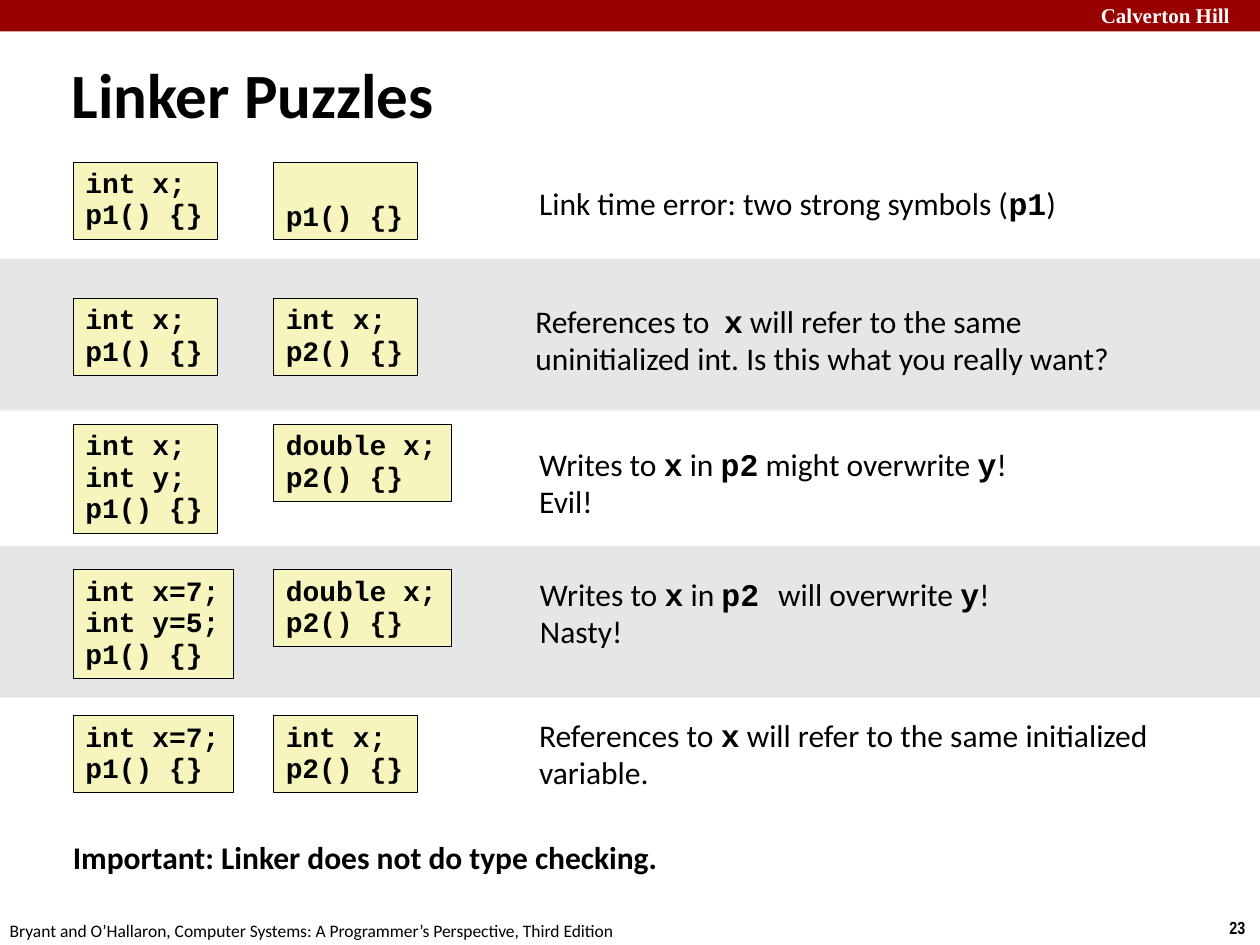
from dataclasses import dataclass

from pptx import Presentation, util as u
from pptx.dml import color
from pptx.enum import shapes, text


@dataclass(frozen=True)
class Theme:
    ink: str = "000000"
    paper: str = "FFFFFF"
    red: str = "990000"
    band: str = "E6E6E6"
    cream: str = "F6F5BD"
    body: str = "Calibri"
    mono: str = "Courier New"
    serif: str = "Times New Roman"
    narrow: str = "Arial Narrow"
    title: int = 36
    note: int = 18
    code: int = 16
    brand: int = 12
    foot: int = 10


class Deck:
    def __init__(self, theme):
        self.theme = theme
        self.prs = Presentation()
        self.prs.slide_width, self.prs.slide_height = u.Pt(720), u.Pt(540)
        self.slide = self.prs.slides.add_slide(self.prs.slide_layouts[6])

    def font(self, run, face, size, bold=False, ink=None):
        run.font.name, run.font.size, run.font.bold = face, u.Pt(size), bold
        run.font.color.rgb = color.RGBColor.from_string(ink or self.theme.ink)

    def rect(self, x, y, w, h, fill):
        box = self.slide.shapes.add_shape(
            shapes.MSO_SHAPE.RECTANGLE, u.Pt(x), u.Pt(y), u.Pt(w), u.Pt(h))
        box.shadow.inherit = False
        box.fill.solid()
        box.fill.fore_color.rgb = color.RGBColor.from_string(fill)
        box.line.fill.background()
        return box

    def label(self, x, y, w, h, words, size, face=None, bold=False, ink=None,
              space=None, wrap=False):
        frame = self.slide.shapes.add_textbox(
            u.Pt(x), u.Pt(y), u.Pt(w), u.Pt(h)).text_frame
        frame.word_wrap = wrap
        frame.vertical_anchor = text.MSO_ANCHOR.MIDDLE
        for i, line in enumerate(words.split("\n")):
            para = frame.add_paragraph() if i else frame.paragraphs[0]
            para.line_spacing = space
            for j, part in enumerate(line.split("`")):
                if part:
                    run = para.add_run()
                    run.text = part
                    code = j % 2 == 1
                    self.font(run, self.theme.mono if code else face or self.theme.body,
                              size, bold or code, ink)

    def code(self, x, y, words, rows=None):
        t = self.theme
        lines = words.split("\n")
        wide = max(map(len, lines)) * 0.6 * t.code + 15
        box = self.rect(x, y, wide, 8 + 18 * (rows or len(lines)), t.cream)
        box.line.color.rgb = color.RGBColor.from_string(t.ink)
        box.line.width = u.Pt(0.25)
        frame = box.text_frame
        frame.word_wrap = False
        frame.vertical_anchor = text.MSO_ANCHOR.BOTTOM if rows else text.MSO_ANCHOR.TOP
        frame.text = words
        for para in frame.paragraphs:
            para.alignment = text.PP_ALIGN.LEFT
            para.line_spacing = 0.94
            self.font(para.runs[0], t.mono, t.code, True)

    def note(self, x, y, w, words, bold=False):
        tall = 29 if "\n" not in words else 50.4
        self.label(x, y, w, tall, words, self.theme.note, bold=bold, space=0.98)


def main():
    t = Theme()
    deck = Deck(t)
    deck.rect(0, 0, 720, 18, t.red)
    deck.label(622, -2, 103, 21.6, "Calverton Hill", t.brand, t.serif, True, t.paper)
    deck.label(695.5, 520.5, 24.5, 19.4, "23", t.foot, t.narrow, True)
    deck.label(-1.5, 522, 366, 19.4,
               "Bryant and O’Hallaron, Computer Systems: "
               "A Programmer’s Perspective, Third Edition", t.foot)
    for top in (148, 312):
        deck.rect(0, top, 720, 86.6, t.band)
    deck.label(33.8, 22.3, 686, 62, "Linker Puzzles", t.title, bold=True, wrap=True)

    puzzles = [
        (92.5, "int x;\np1() {}", "p1() {}", 301, 102.5, 319,
         "Link time error: two strong symbols (`p1`)"),
        (170.5, "int x;\np1() {}", "int x;\np2() {}", 298.8, 169.5, 346,
         "References to  `x` will refer to the same\n"
         "uninitialized int. Is this what you really want?"),
        (242.5, "int x;\nint y;\np1() {}", "double x;\np2() {}", 301, 251.5, 284,
         "Writes to `x` in `p2` might overwrite `y`!\nEvil!"),
        (325.5, "int x=7;\nint y=5;\np1() {}", "double x;\np2() {}", 301.5, 325.5, 274,
         "Writes to `x` in `p2 `will overwrite `y`!\nNasty!"),
        (409, "int x=7;\np1() {}", "int x;\np2() {}", 301, 406, 366,
         "References to `x` will refer to the same initialized\nvariable."),
    ]
    for top, left, right, x, y, wide, words in puzzles:
        deck.code(41.75, top, left)
        deck.code(156.25, top, right, None if "\n" in right else 2)
        deck.note(x, y, wide, words)
    deck.note(34.5, 476, 351, "Important: Linker does not do type checking.", True)
    deck.prs.save("out.pptx")


if __name__ == "__main__":
    main()
